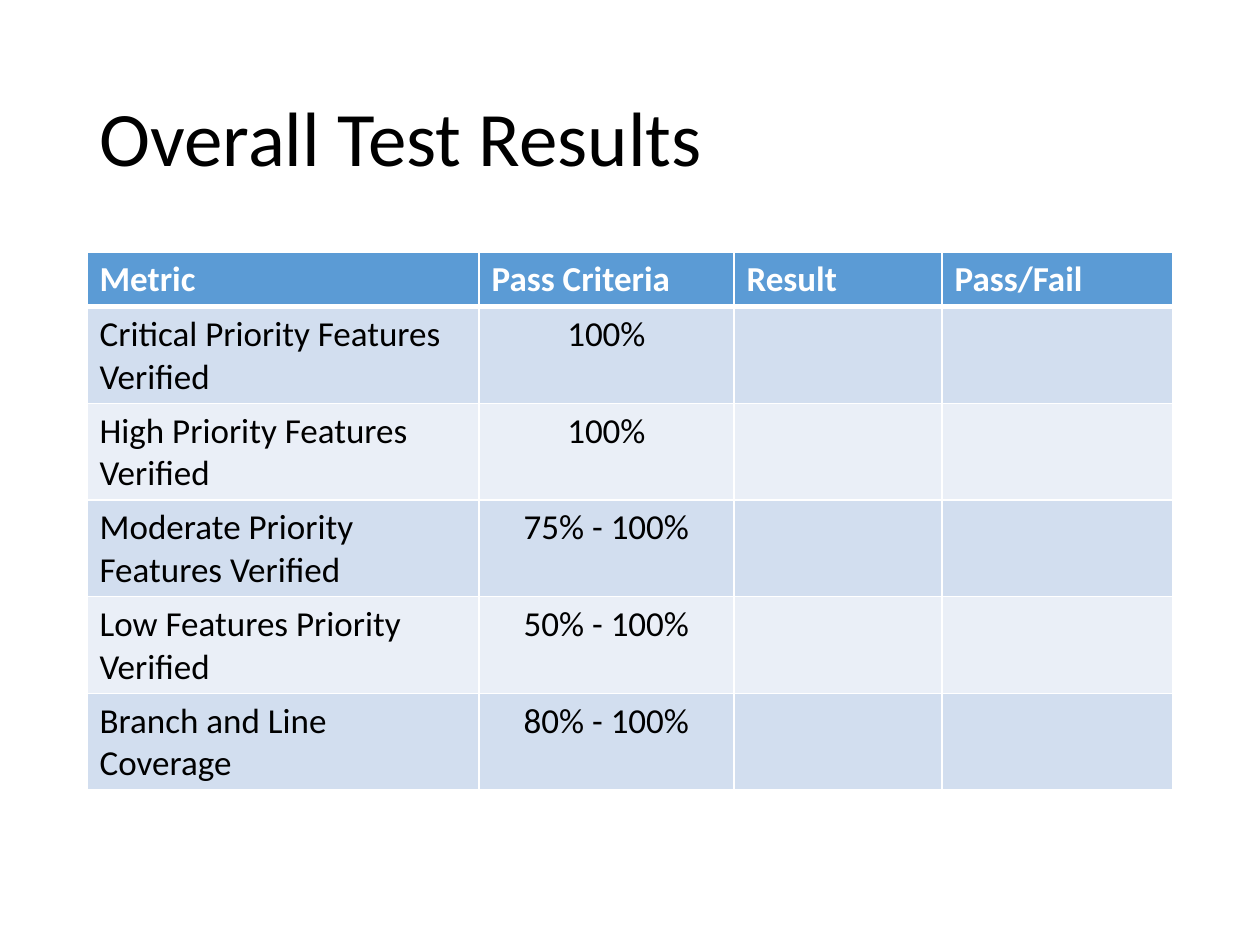
from dataclasses import dataclass

import lxml.etree
import pptx
import pptx.dml.color
import pptx.enum.text
import pptx.oxml.ns
import pptx.util

PX = pptx.util.Inches(1) / 126
FONT = "Calibri"
BLACK = pptx.dml.color.RGBColor(0x00, 0x00, 0x00)
WHITE = pptx.dml.color.RGBColor(0xFF, 0xFF, 0xFF)
HEADER_BLUE = pptx.dml.color.RGBColor(0x5B, 0x9B, 0xD5)
BANDS = (
    pptx.dml.color.RGBColor(0xD2, 0xDE, 0xEF),
    pptx.dml.color.RGBColor(0xEA, 0xEF, 0xF7),
)
LEFT = pptx.enum.text.PP_ALIGN.LEFT
CENTER = pptx.enum.text.PP_ALIGN.CENTER

HEADINGS = ("Metric", "Pass Criteria", "Result", "Pass/Fail")
COLUMN_WIDTHS = (392, 255, 208, 231)
ROW_HEIGHT = 52


@dataclass(frozen=True)
class Metric:
    name: str
    criteria: str


METRICS = (
    Metric("Critical Priority Features Verified", "100%"),
    Metric("High Priority Features Verified", "100%"),
    Metric("Moderate Priority Features Verified", "75% - 100%"),
    Metric("Low Features Priority Verified", "50% - 100%"),
    Metric("Branch and Line Coverage", "80% - 100%"),
)


@dataclass(frozen=True)
class CellStyle:
    fill: pptx.dml.color.RGBColor
    color: pptx.dml.color.RGBColor
    bold: bool
    top: int
    bottom: int


def px(length: int) -> int:
    return round(length * PX)


def set_format(target, values: dict) -> None:
    for name, value in values.items():
        setattr(target, name, value)


def write(para, text: str, size: int, color, bold: bool = False) -> None:
    span = para.add_run()
    span.text = text
    set_format(span.font, {"name": FONT, "size": pptx.util.Pt(size), "bold": bold})
    span.font.color.rgb = color


def add_borders(cell, style: CellStyle) -> None:
    properties = cell._tc.get_or_add_tcPr()
    qn = pptx.oxml.ns.qn
    widths = {"lnL": 1, "lnR": 1, "lnT": style.top, "lnB": style.bottom}
    for index, (side, width) in enumerate(widths.items()):
        line = lxml.etree.Element(qn(f"a:{side}"), w=str(pptx.util.Pt(width)))
        fill = lxml.etree.SubElement(line, qn("a:solidFill"))
        lxml.etree.SubElement(fill, qn("a:srgbClr"), val=str(WHITE))
        properties.insert(index, line)


def draw_cell(cell, text: str, style: CellStyle, alignment) -> None:
    cell.fill.solid()
    cell.fill.fore_color.rgb = style.fill
    add_borders(cell, style)
    para = cell.text_frame.paragraphs[0]
    para.alignment = alignment
    if text:
        write(para, text, 20, style.color, style.bold)
    else:
        para.font.size = pptx.util.Pt(20)


def draw_title(page, text: str) -> None:
    box = page.shapes.add_textbox(px(87), px(50), px(1086), px(183))
    set_format(box.text_frame, {
        "word_wrap": True,
        "vertical_anchor": pptx.enum.text.MSO_ANCHOR.MIDDLE,
    })
    para = box.text_frame.paragraphs[0]
    para.line_spacing = 0.9
    write(para, text, 44, BLACK)


def draw_results(page) -> None:
    row_count = len(METRICS) + 1
    frame = page.shapes.add_table(
        row_count, len(HEADINGS), px(87), px(252),
        px(sum(COLUMN_WIDTHS)), px(ROW_HEIGHT * row_count),
    )
    table = frame.table
    for column, width in zip(table.columns, COLUMN_WIDTHS):
        column.width = px(width)

    # Header row
    header = CellStyle(HEADER_BLUE, WHITE, True, 1, 3)
    for column, heading in enumerate(HEADINGS):
        draw_cell(table.cell(0, column), heading, header, LEFT)

    # Banded metric rows, with result columns left to fill in
    for row, metric in enumerate(METRICS, start=1):
        style = CellStyle(BANDS[(row - 1) % 2], BLACK, False, 3 if row == 1 else 1, 1)
        texts = (metric.name, metric.criteria, "", "")
        for column, text in enumerate(texts):
            alignment = CENTER if column == 1 else LEFT
            draw_cell(table.cell(row, column), text, style, alignment)


def main() -> None:
    deck = pptx.Presentation()
    set_format(deck, {"slide_width": px(1260), "slide_height": px(945)})
    page = deck.slides.add_slide(deck.slide_layouts[6])
    draw_title(page, "Overall Test Results")
    draw_results(page)
    deck.save("out.pptx")


if __name__ == "__main__":
    main()
